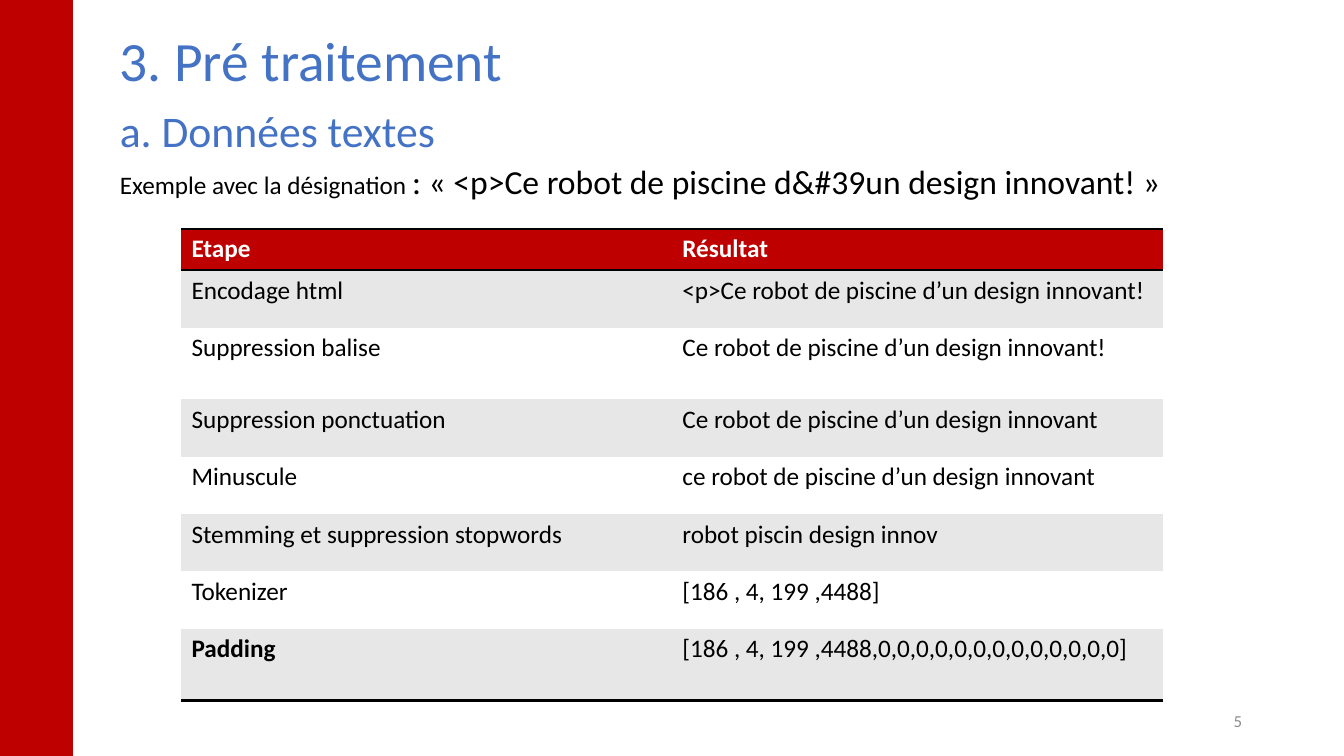
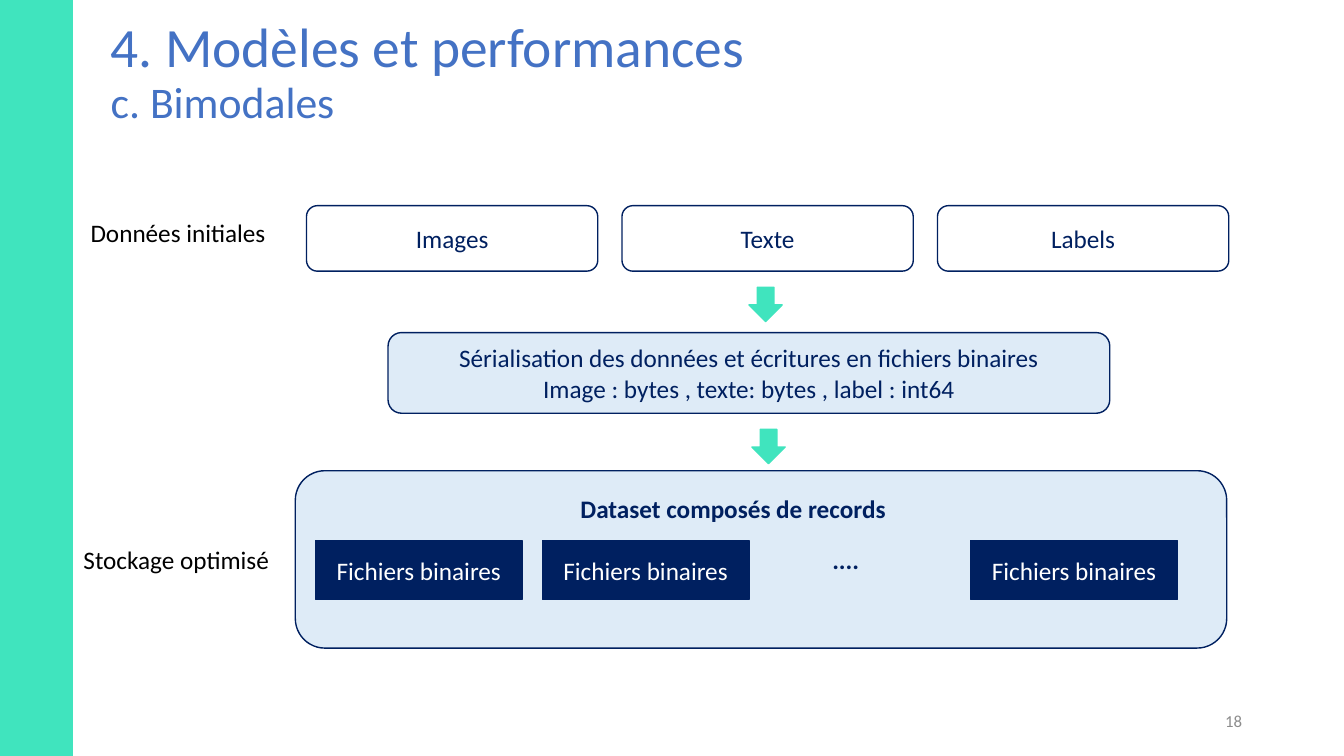
from dataclasses import dataclass

from lxml import etree
from pptx import Presentation
from pptx.dml.color import RGBColor
from pptx.enum.shapes import MSO_SHAPE
from pptx.enum.text import MSO_ANCHOR, PP_ALIGN
from pptx.oxml.ns import qn
from pptx.util import Inches, Pt

RECTANGLE = MSO_SHAPE.RECTANGLE
ROUNDED = MSO_SHAPE.ROUNDED_RECTANGLE
DOWN_ARROW = MSO_SHAPE.DOWN_ARROW
TOP, MIDDLE = MSO_ANCHOR.TOP, MSO_ANCHOR.MIDDLE
LEFT, CENTER, RIGHT = PP_ALIGN.LEFT, PP_ALIGN.CENTER, PP_ALIGN.RIGHT
PLAIN_TABLE = "{2D5ABB26-0587-4C30-8999-92F81FD0307C}"


@dataclass(frozen=True)
class Theme:
    """Colours, type sizes and line widths shared by the slides."""

    font: str = "Calibri"
    heading: str = "4472C4"
    red: str = "BF0000"
    mint: str = "40E4BE"
    navy: str = "002060"
    pale: str = "DEEBF7"
    stripe: str = "E7E7E7"
    white: str = "FFFFFF"
    black: str = "000000"
    muted: str = "8C8C8C"
    title_size: float = 39.6
    subtitle_size: float = 31.2
    quote_size: float = 24
    body_size: float = 18
    number_size: float = 12
    outline: float = 1
    rule: float = 2


THEME = Theme()


@dataclass(frozen=True)
class Box:
    """A region measured in grid cells of a tenth of an inch."""

    left: float
    top: float
    width: float
    height: float

    def inner(self, left, top, width, height):
        """Return a box placed relative to this one."""
        return Box(self.left + left, self.top + top, width, height)

    def place(self):
        """Return the position and size as slide lengths."""
        cells = (self.left, self.top, self.width, self.height)
        return [Inches(cell / 10) for cell in cells]


PAGE = Box(0, 0, 133.33, 75)


def write(frame, text, size=THEME.body_size, color=THEME.black, bold=False,
          align=LEFT, spacing=1.0, anchor=TOP, wrap=True, extend=False):
    """Write formatted lines in a frame, or extend its last paragraph."""
    frame.word_wrap = wrap
    frame.vertical_anchor = anchor
    for index, line in enumerate(text.split("\n")):
        para = frame.add_paragraph() if index else frame.paragraphs[-1]
        if not extend:
            para.alignment = align
            para.line_spacing = spacing
        span = para.add_run()
        span.text = line
        span.font.name = THEME.font
        span.font.size = Pt(size)
        span.font.bold = bold
        span.font.color.rgb = RGBColor.from_string(color)


def add_label(page, box, text, **style):
    """Add a text box and return its frame."""
    frame = page.shapes.add_textbox(*box.place()).text_frame
    write(frame, text, **style)
    return frame


def add_block(page, box, kind, fill, line, text="", **style):
    """Add a filled preset shape with optional centred text."""
    shape = page.shapes.add_shape(kind, *box.place())
    shape.shadow.inherit = False
    shape.fill.solid()
    shape.fill.fore_color.rgb = RGBColor.from_string(fill)
    shape.line.color.rgb = RGBColor.from_string(line)
    shape.line.width = Pt(THEME.outline)
    if text:
        write(shape.text_frame, text, align=CENTER, anchor=MIDDLE, **style)


def add_page(deck, band, number):
    """Add a blank slide with its side band and slide number."""
    page = deck.slides.add_slide(deck.slide_layouts[6])
    add_block(page, PAGE.inner(0, 0, 7.2, PAGE.height), RECTANGLE, band, band)
    add_label(page, PAGE.inner(94.2, 69.5, 30, 4), number, anchor=MIDDLE,
              size=THEME.number_size, color=THEME.muted, align=RIGHT)
    return page


def add_heading(page, box, title, subtitle, step, spacing):
    """Stack the title and the subtitle one step apart."""
    lines = ((title, THEME.title_size, spacing),
             (subtitle, THEME.subtitle_size, 0.9))
    for index, (text, size, leading) in enumerate(lines):
        add_label(page, box.inner(0, index * step, box.width, 6.8), text,
                  size=size, color=THEME.heading, spacing=leading,
                  anchor=MIDDLE)


def add_rule(cell_xml, edges):
    """Draw rules on the given edges of a table cell."""
    properties = cell_xml.get_or_add_tcPr()
    for index, edge in enumerate(edges):
        line = etree.Element(qn(f"a:{edge}"), w=str(Pt(THEME.rule)))
        fill = etree.SubElement(line, qn("a:solidFill"))
        etree.SubElement(fill, qn("a:srgbClr"), val=THEME.black)
        properties.insert(index, line)


def add_steps(page, box, rows, heights):
    """Add the striped table of steps with equal columns."""
    columns = len(rows[0])
    holder = page.shapes.add_table(len(rows), columns, *box.place())
    for style in holder.element.iter(qn("a:tableStyleId")):
        style.text = PLAIN_TABLE
    table = holder.table
    for column in table.columns:
        column.width = Inches(box.width / columns / 10)
    for index, texts in enumerate(rows):
        table.rows[index].height = Inches(heights[index] / 10)
        header = index == 0
        fill = THEME.stripe if index % 2 else THEME.white
        for column, text in enumerate(texts):
            cell = table.cell(index, column)
            cell.fill.solid()
            cell.fill.fore_color.rgb = RGBColor.from_string(
                THEME.red if header else fill)
            write(cell.text_frame, text,
                  color=THEME.white if header else THEME.black,
                  bold=header or text == "Padding")
    cells = list(holder.element.iter(qn("a:tc")))
    for cell_xml in cells[:columns]:
        add_rule(cell_xml, ("lnT", "lnB"))
    for cell_xml in cells[-columns:]:
        add_rule(cell_xml, ("lnB",))


def add_sources(page, box, names, gap):
    """Spread one outlined box per data source across a row."""
    width = (box.width - gap * (len(names) - 1)) / len(names)
    for index, name in enumerate(names):
        place = box.inner(index * (width + gap), 0, width, box.height)
        add_block(page, place, ROUNDED, THEME.white, THEME.navy, name,
                  color=THEME.navy)


def add_storage(page, box):
    """Draw the data set panel with its row of binary files."""
    add_block(page, box, ROUNDED, THEME.pale, THEME.navy)
    add_label(page, box.inner(27.3, 1.7, 45.6, 4),
              "Dataset composés de records", color=THEME.navy, bold=True)
    for left in (2, 24.5, 67):
        add_block(page, box.inner(left, 6.9, 20.5, 5.9), RECTANGLE,
                  THEME.navy, THEME.navy, "Fichiers binaires",
                  color=THEME.white)
    add_label(page, box.inner(49.6, 6.8, 10, 4), "....", color=THEME.navy,
              bold=True, align=CENTER, anchor=MIDDLE)


def build_text_page(deck):
    """Build the slide on text preparation."""
    page = add_page(deck, THEME.red, "5")
    add_heading(page, PAGE.inner(10.9, 2.9, 111.6, 13.7),
                "3. Pré traitement", "a. Données textes", 6.9, 0.9)
    example = add_label(page, PAGE.inner(10.9, 15.5, 111.6, 5),
                        "Exemple avec la désignation ")
    write(example, ": « <p>Ce robot de piscine d&#39un design innovant! »",
          size=THEME.quote_size, extend=True)
    rows = (
        ("Etape", "Résultat"),
        ("Encodage html", "<p>Ce robot de piscine d’un design innovant!"),
        ("Suppression balise", "Ce robot de piscine d’un design innovant!"),
        ("Suppression ponctuation", "Ce robot de piscine d’un design innovant"),
        ("Minuscule", "ce robot de piscine d’un design innovant"),
        ("Stemming et suppression stopwords", "robot piscin design innov"),
        ("Tokenizer", "[186 , 4, 199 ,4488]"),
        ("Padding", "[186 , 4, 199 ,4488,0,0,0,0,0,0,0,0,0,0,0,0,0]"),
    )
    heights = (4.1, 5.7, 7.1, 5.7, 5.7, 5.7, 5.7, 7.1)
    add_steps(page, PAGE.inner(18, 22.7, 97.4, sum(heights)), rows, heights)


def build_model_page(deck):
    """Build the slide on the bimodal data flow."""
    page = add_page(deck, THEME.mint, "18")
    add_heading(page, PAGE.inner(10, 1.7, 111.6, 12.1),
                "4. Modèles et performances", "c. Bimodales", 5.3, 0.8)
    add_sources(page, PAGE.inner(30.4, 20.4, 91.5, 6.5),
                ("Images", "Texte", "Labels"), 2.4)
    add_storage(page, PAGE.inner(29.3, 46.7, 92.4, 17.6))
    add_block(page, PAGE.inner(38.5, 33, 71.6, 8), ROUNDED, THEME.pale,
              THEME.navy,
              "Sérialisation des données et écritures en fichiers binaires\n"
              "Image : bytes , texte: bytes , label : int64",
              color=THEME.navy)
    for left, top in ((74.3, 28.5), (74.6, 42.6)):
        add_block(page, PAGE.inner(left, top, 3.3, 3.4), DOWN_ARROW,
                  THEME.mint, THEME.mint)
    for left, top, width, text in ((8, 21.1, 19.6, "Données initiales"),
                                   (7.3, 53.5, 20.6, "Stockage optimisé")):
        add_label(page, PAGE.inner(left, top, width, 4), text, wrap=False)


def main():
    """Build and save the deck."""
    deck = Presentation()
    deck.slide_width = Inches(PAGE.width / 10)
    deck.slide_height = Inches(PAGE.height / 10)
    build_text_page(deck)
    build_model_page(deck)
    deck.save("out.pptx")


if __name__ == "__main__":
    main()
